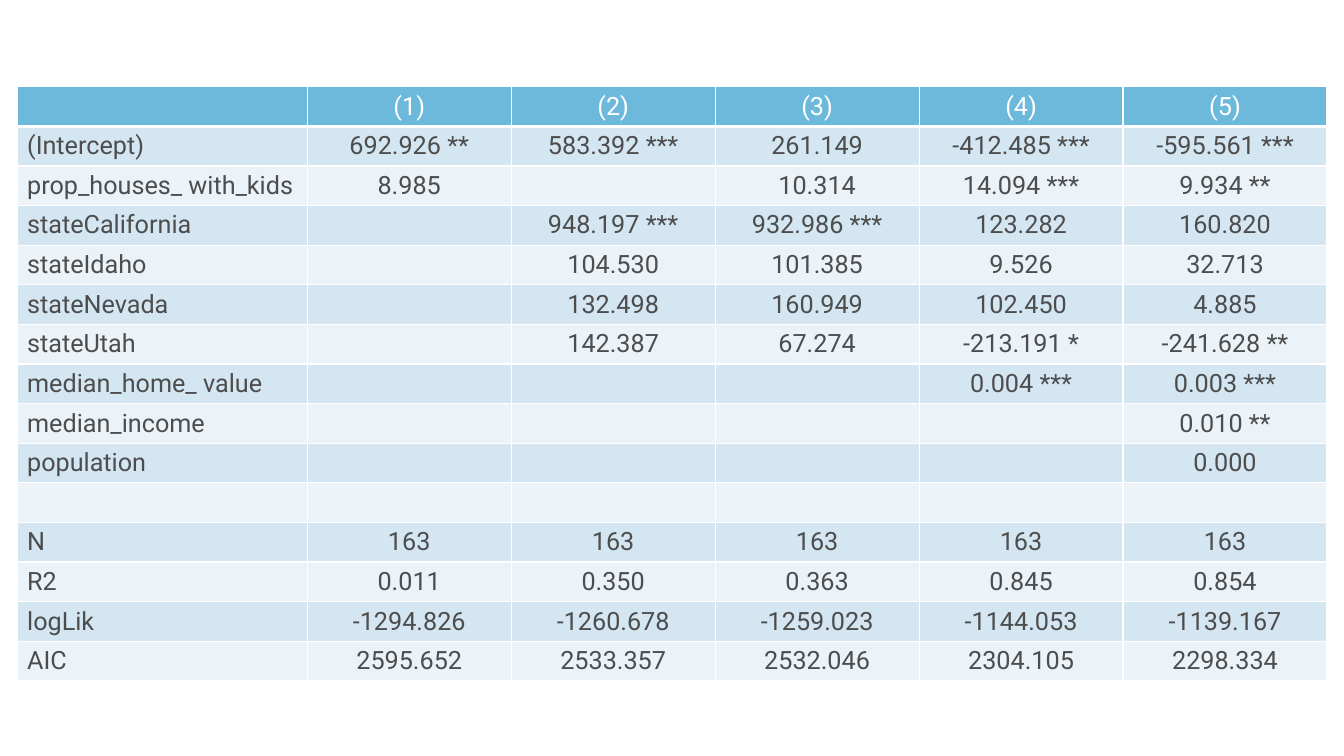
"""Build a slide with a table of five regression models."""
from lxml import etree
from pptx import Presentation
from pptx import util as u
from pptx.dml.color import RGBColor
from pptx.enum import text
from pptx.oxml import ns

WHITE = RGBColor(0xFF, 0xFF, 0xFF)
GREY = RGBColor(0x4D, 0x4D, 0x4D)
BLUE = RGBColor(0x6C, 0xB9, 0xDC)
PALE = RGBColor(0xD4, 0xE6, 0xF2)
LIGHT = RGBColor(0xEB, 0xF3, 0xF9)

LABEL, MODEL, HEIGHT = 207.3, 145.7, 28.3
ROWS = [
    ["", "(1)", "(2)", "(3)", "(4)", "(5)"],
    ["(Intercept)", "692.926 **", "583.392 ***", "261.149", "-412.485 ***", "-595.561 ***"],
    ["prop_houses_ with_kids", "8.985", "", "10.314", "14.094 ***", "9.934 **"],
    ["stateCalifornia", "", "948.197 ***", "932.986 ***", "123.282", "160.820"],
    ["stateIdaho", "", "104.530", "101.385", "9.526", "32.713"],
    ["stateNevada", "", "132.498", "160.949", "102.450", "4.885"],
    ["stateUtah", "", "142.387", "67.274", "-213.191 *", "-241.628 **"],
    ["median_home_ value", "", "", "", "0.004 ***", "0.003 ***"],
    ["median_income", "", "", "", "", "0.010 **"],
    ["population", "", "", "", "", "0.000"],
    [""] * 6,
    ["N"] + ["163"] * 5,
    ["R2", "0.011", "0.350", "0.363", "0.845", "0.854"],
    ["logLik", "-1294.826", "-1260.678", "-1259.023", "-1144.053", "-1139.167"],
    ["AIC", "2595.652", "2533.357", "2532.046", "2304.105", "2298.334"],
]


def add_edges(cell, top, bottom):
    """Draw white borders around a cell, with widths in points."""
    props = cell._tc.get_or_add_tcPr()
    widths = {"a:lnL": 1, "a:lnR": 1, "a:lnT": top, "a:lnB": bottom}
    for place, (tag, width) in enumerate(widths.items()):
        line = etree.Element(ns.qn(tag), w=str(u.Pt(width)))
        fill = etree.SubElement(line, ns.qn("a:solidFill"))
        etree.SubElement(fill, ns.qn("a:srgbClr"), val=str(WHITE))
        props.insert(place, line)


def fill_cell(cell, words, row, col):
    """Write and format one cell according to its row and column."""
    cell.fill.solid()
    cell.fill.fore_color.rgb = BLUE if row == 0 else PALE if row % 2 else LIGHT
    cell.vertical_anchor = text.MSO_ANCHOR.MIDDLE
    cell.margin_top = cell.margin_bottom = u.Pt(2)
    add_edges(cell, 3 if row == 1 else 1, 3 if row == 0 else 1)
    para = cell.text_frame.paragraphs[0]
    para.alignment = text.PP_ALIGN.CENTER if col else text.PP_ALIGN.LEFT
    if words:
        para.text = words
        font = para.runs[0].font
        font.name, font.size, font.bold = "Roboto", u.Pt(18), False
        font.color.rgb = WHITE if row == 0 else GREY


def add_grid(slide, left, top):
    """Add the table of model results."""
    count = len(ROWS[0])
    width = LABEL + MODEL * (count - 1)
    frame = slide.shapes.add_table(len(ROWS), count, u.Pt(left), u.Pt(top),
                                   u.Pt(width), u.Pt(HEIGHT * len(ROWS)))
    table = frame.table
    for col, column in enumerate(table.columns):
        column.width = u.Pt(MODEL if col else LABEL)
    for row, values in enumerate(ROWS):
        table.rows[row].height = u.Pt(HEIGHT)
        for col, words in enumerate(values):
            fill_cell(table.cell(row, col), words, row, col)


def main():
    """Create the deck and save it."""
    deck = Presentation()
    deck.slide_width, deck.slide_height = u.Pt(960), u.Pt(540)
    slide = deck.slides.add_slide(deck.slide_layouts[6])
    add_grid(slide, 12.2, 62)
    deck.save("out.pptx")


if __name__ == "__main__":
    main()
